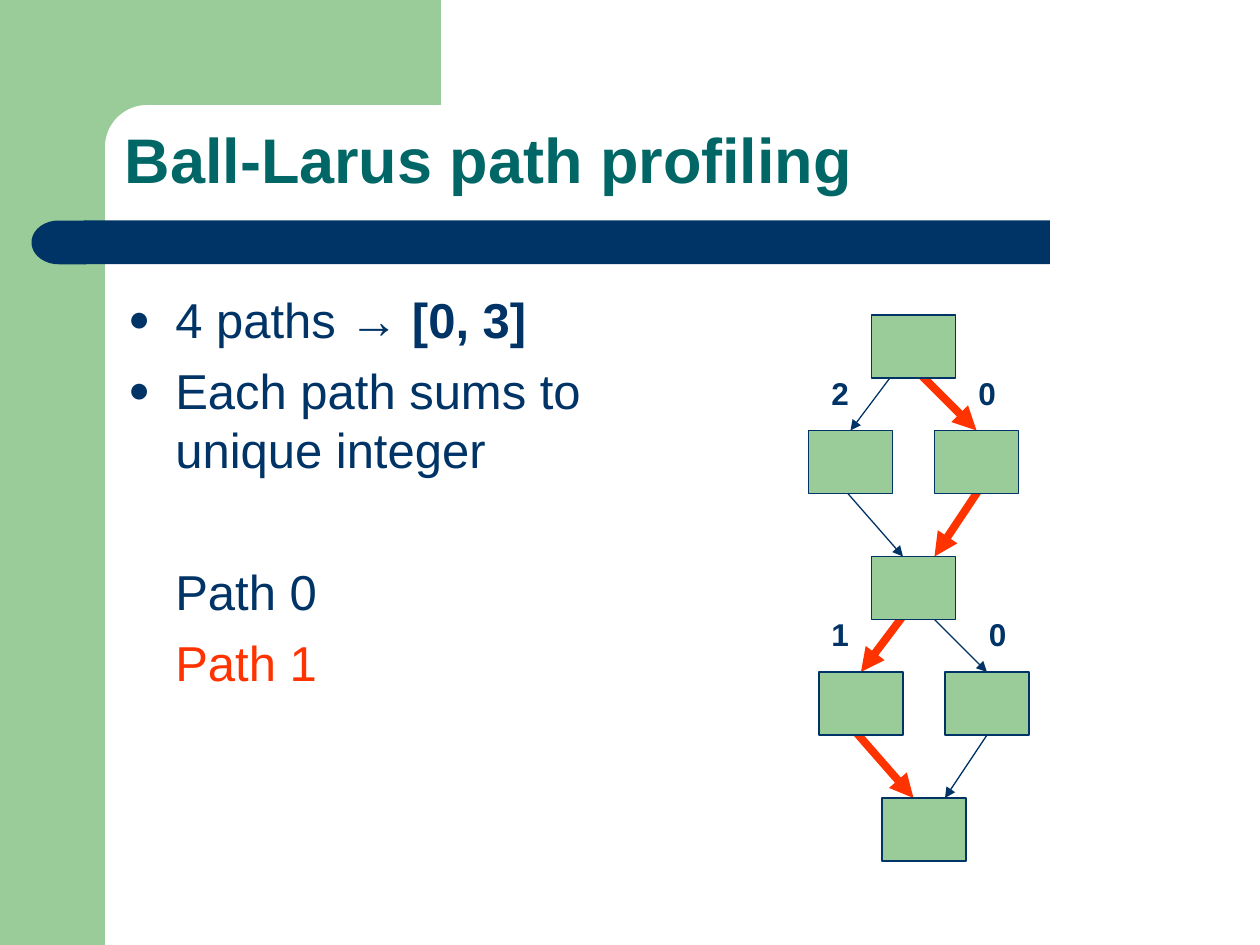
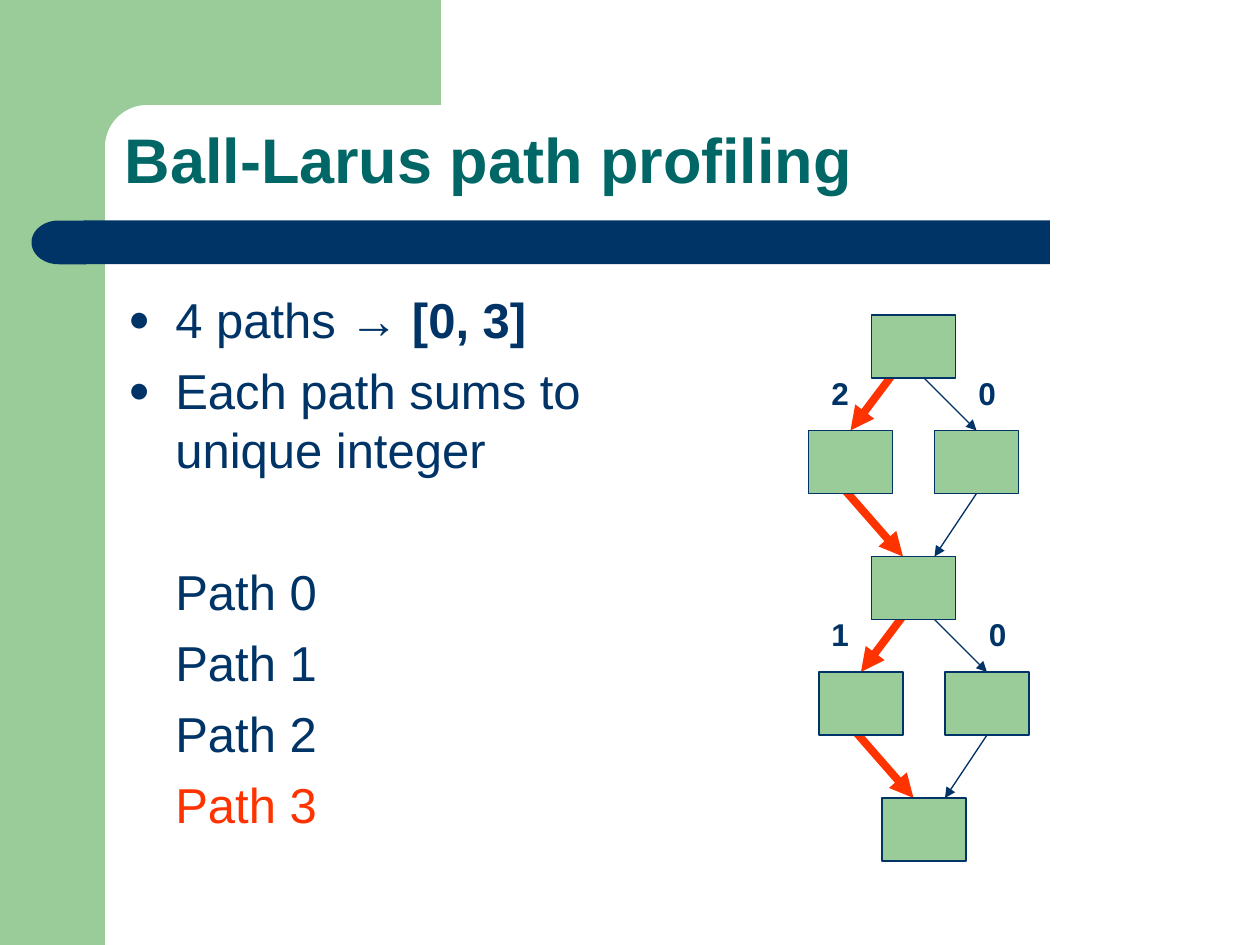
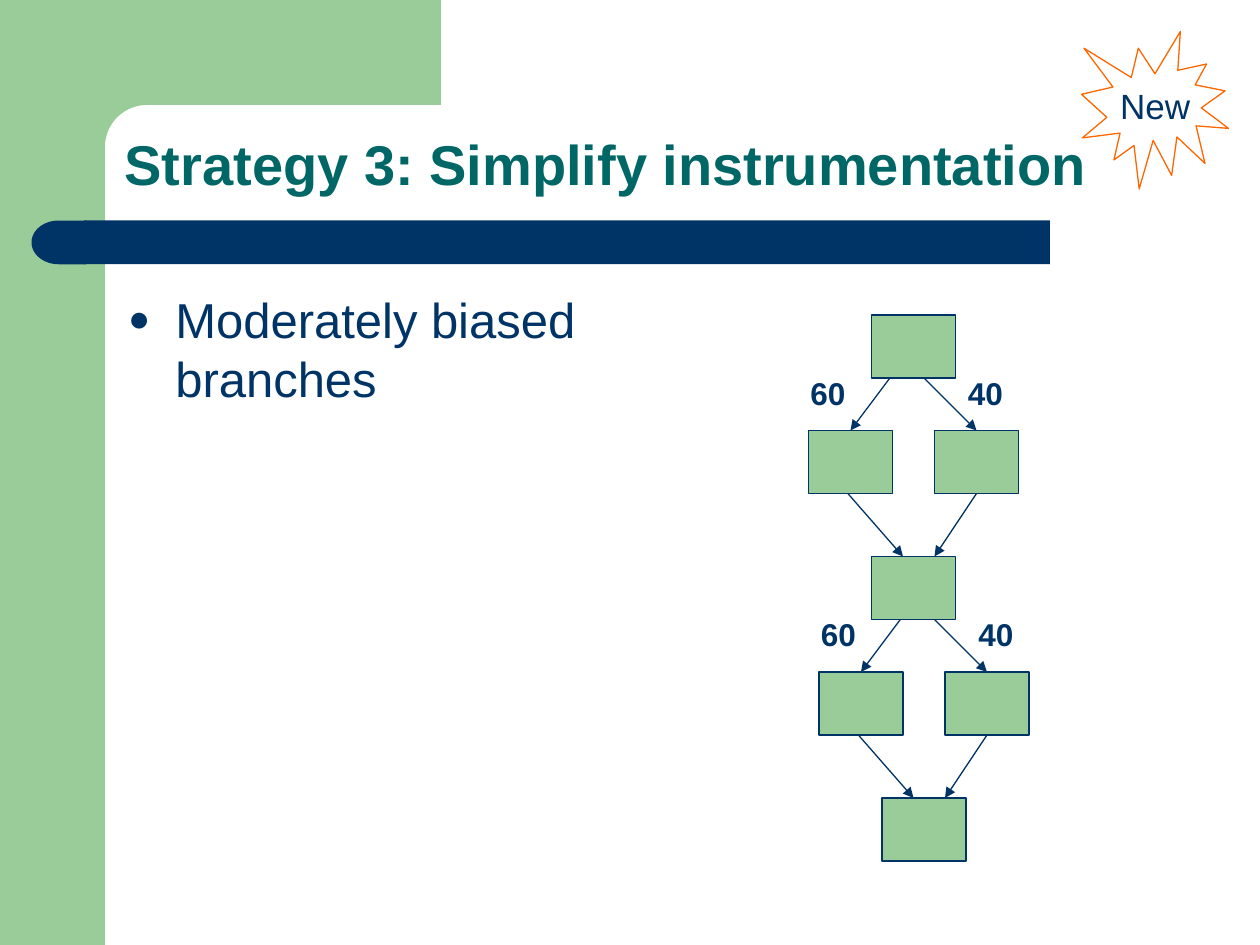
"""Builds three slides on path profiling, each with a control-flow graph."""
from dataclasses import dataclass
from math import cos, radians, sin

from lxml.etree import SubElement
from pptx import Presentation
from pptx.dml.color import RGBColor
from pptx.enum.shapes import MSO_CONNECTOR, MSO_SHAPE
from pptx.enum.text import MSO_ANCHOR, MSO_AUTO_SIZE, PP_ALIGN
from pptx.oxml.ns import qn
from pptx.util import Pt

GREEN = RGBColor(0x99, 0xCC, 0x99)
NAVY = RGBColor(0x00, 0x33, 0x66)
TEAL = RGBColor(0x00, 0x66, 0x66)
RED = RGBColor(0xFF, 0x33, 0x00)
ORANGE = RGBColor(0xFF, 0x66, 0x00)
FONT = "Arial"

NODE_W, NODE_H = 48, 36
STAGE_DX, STAGE_DY = 6, 138
STAGE_EDGES = [
    ((522, 198), (486, 246)),
    ((516, 204), (558, 246)),
    ((474, 270), (516, 318)),
    ((570, 264), (534, 318)),
]
NODES = [(534, 246), (462, 246), (498, 318), (498, 180), (540, 384), (468, 384), (504, 456)]
LABEL_TOPS = (210, 210, 348, 348)


@dataclass(frozen=True)
class Line:
    runs: tuple[tuple[str, bool], ...]
    bullet: bool = True
    color: RGBColor = NAVY
    before: float = 7


@dataclass(frozen=True)
class Label:
    text: str
    left: float


@dataclass(frozen=True)
class Page:
    title: str
    title_size: float
    body_width: float
    lines: list[Line]
    labels: list[Label]
    hot_edges: frozenset[int] = frozenset()
    badge: str = ""


def path_lines(count: int) -> list[Line]:
    """Return the path list, with the last path in red."""
    return [
        Line(((f"Path {i}", False),), False, RED if i == count - 1 else NAVY, 7 if i else 47.5)
        for i in range(count)
    ]


INTRO = [
    Line((("4 paths → ", False), ("[0, 3]", True))),
    Line((("Each path sums to unique integer", False),)),
]
SUM_LABELS = [Label("2", 468), Label("0", 552), Label("1", 468), Label("0", 558)]
BIAS_LABELS = [Label("60", 456), Label("40", 546), Label("60", 462), Label("40", 552)]
PAGES = [
    Page("Ball-Larus path profiling", 36, 378, INTRO + path_lines(2), SUM_LABELS,
         frozenset({1, 3, 4, 6})),
    Page("Ball-Larus path profiling", 36, 372, INTRO + path_lines(4), SUM_LABELS,
         frozenset({0, 2, 4, 6})),
    Page("Strategy 3: Simplify instrumentation", 32, 300,
         [Line((("Moderately biased branches", False),))], BIAS_LABELS, badge="New"),
]


def place(sp, left: float, top: float, width: float, height: float) -> None:
    """Move and size a shape in points."""
    sp.left, sp.top, sp.width, sp.height = Pt(left), Pt(top), Pt(width), Pt(height)


def add_run(p, text: str, *, size: float, color: RGBColor = NAVY, bold: bool = False) -> None:
    """Append a formatted run to a paragraph."""
    r = p.add_run()
    r.text = text
    r.font.name, r.font.size, r.font.bold = FONT, Pt(size), bold
    r.font.color.rgb = color


def paint(sp, fill: RGBColor | None, line: RGBColor | None = None) -> None:
    """Set fill and outline, and drop the shadow."""
    sp.shadow.inherit = False
    if fill is None:
        sp.fill.background()
    else:
        sp.fill.solid()
        sp.fill.fore_color.rgb = fill
    if line is None:
        sp.line.fill.background()
    else:
        sp.line.color.rgb = line
        sp.line.width = Pt(0.75)


def add_box(slide, kind: MSO_SHAPE, at: tuple, fill: RGBColor | None, line: RGBColor | None = None):
    """Add a preset shape placed in points."""
    sp = slide.shapes.add_shape(kind, *(Pt(v) for v in at))
    paint(sp, fill, line)
    return sp


def add_text(slide, text: str, left: float, top: float, width: float, height: float, *,
             size: float, bold: bool = False) -> None:
    """Add a one-line text box that fits its text."""
    tf = slide.shapes.add_textbox(Pt(left), Pt(top), Pt(width), Pt(height)).text_frame
    tf.word_wrap = False
    tf.auto_size = MSO_AUTO_SIZE.SHAPE_TO_FIT_TEXT
    add_run(tf.paragraphs[0], text, size=size, bold=bold)


def add_edge(slide, start: tuple, end: tuple, hot: bool) -> None:
    """Add an arrow, thick and red when it is on the path."""
    ends = (Pt(v) for v in start + end)
    line = slide.shapes.add_connector(MSO_CONNECTOR.STRAIGHT, *ends)
    line.line.color.rgb = RED if hot else NAVY
    line.line.width = Pt(4.5 if hot else 0.75)
    SubElement(line.element.spPr.find(qn("a:ln")), qn("a:tailEnd"), type="triangle")
    SubElement(line.element.spPr, qn("a:effectLst"))


def decorate_master(prs, slide) -> None:
    """Draw the green corner and navy bar, and move them to the master."""
    side = add_box(slide, MSO_SHAPE.RECTANGLE, (0, 0, 60, 540), GREEN)
    arc = [(84 - 24 * sin(radians(a)), 84 - 24 * cos(radians(a))) for a in range(0, 91, 5)]
    outline = [(252, 60), *arc, (60, 92), (36, 92), (36, 0)]
    builder = slide.shapes.build_freeform(Pt(252), Pt(0))
    builder.add_line_segments([(Pt(x), Pt(y)) for x, y in outline], close=True)
    corner = builder.convert_to_shape()
    paint(corner, GREEN)
    bar = add_box(slide, MSO_SHAPE.RECTANGLE, (48, 126, 552, 25), NAVY)
    cap = add_box(slide, MSO_SHAPE.FLOWCHART_DELAY, (18, 126, 31, 25), NAVY)
    cap.rotation = 180
    for number, sp in enumerate((side, corner, bar, cap), start=101):
        sp.element.nvSpPr.cNvPr.set("id", str(number))
        prs.slide_master.shapes.element.append(sp.element)


def set_title(slide, page: Page) -> None:
    """Fill and place the title placeholder."""
    sp = slide.shapes.title
    place(sp, 64, 64, 616.5, 52.5)
    tf = sp.text_frame
    tf.vertical_anchor = MSO_ANCHOR.BOTTOM
    tf.auto_size = MSO_AUTO_SIZE.NONE
    p = tf.paragraphs[0]
    p.alignment, p.line_spacing = PP_ALIGN.LEFT, 0.9
    add_run(p, page.title, size=page.title_size, color=TEAL, bold=True)


def set_bullet(p, bullet: bool) -> None:
    """Indent a paragraph and give it a round bullet or none."""
    pPr = p._p.get_or_add_pPr()
    pPr.set("marL", str(Pt(27)))
    pPr.set("indent", str(Pt(-27) if bullet else 0))
    if not bullet:
        SubElement(pPr, qn("a:buNone"))
        return
    SubElement(SubElement(pPr, qn("a:buClr")), qn("a:srgbClr"), val=str(NAVY))
    SubElement(pPr, qn("a:buSzPct"), val="75000")
    SubElement(pPr, qn("a:buFont"), typeface=FONT)
    SubElement(pPr, qn("a:buChar"), char="●")


def set_body(slide, page: Page) -> None:
    """Fill and place the body placeholder."""
    sp = slide.placeholders[1]
    place(sp, 66, 162, page.body_width, 317.5)
    tf = sp.text_frame
    tf.auto_size = MSO_AUTO_SIZE.NONE
    tf.margin_right = Pt(28)
    for i, line in enumerate(page.lines):
        p = tf.add_paragraph() if i else tf.paragraphs[0]
        set_bullet(p, line.bullet)
        p.space_before = Pt(line.before if i else 0)
        for text, bold in line.runs:
            add_run(p, text, size=28, color=line.color, bold=bold)


def draw_graph(slide, page: Page) -> None:
    """Draw the two-stage flow graph with its edge labels."""
    for stage in range(2):
        dx, dy = stage * STAGE_DX, stage * STAGE_DY
        for i, ((x1, y1), (x2, y2)) in enumerate(STAGE_EDGES, start=stage * len(STAGE_EDGES)):
            add_edge(slide, (x1 + dx, y1 + dy), (x2 + dx, y2 + dy), i in page.hot_edges)
    for x, y in NODES:
        add_box(slide, MSO_SHAPE.RECTANGLE, (x, y, NODE_W, NODE_H), GREEN, NAVY)
    for label, top in zip(page.labels, LABEL_TOPS):
        width = 14.5 + 10 * len(label.text)
        add_text(slide, label.text, label.left, top, width, 29, size=18, bold=True)


def main() -> None:
    """Build and save the presentation."""
    prs = Presentation()
    prs.slide_width, prs.slide_height = Pt(720), Pt(540)
    for i, page in enumerate(PAGES):
        slide = prs.slides.add_slide(prs.slide_layouts[1])
        if i == 0:
            decorate_master(prs, slide)
        set_title(slide, page)
        set_body(slide, page)
        draw_graph(slide, page)
        if page.badge:
            add_box(slide, MSO_SHAPE.EXPLOSION1, (618, 18, 84, 90), None, ORANGE)
            add_text(slide, page.badge, 633, 44.5, 56, 31.5, size=20)
    prs.save("out.pptx")


if __name__ == "__main__":
    main()
